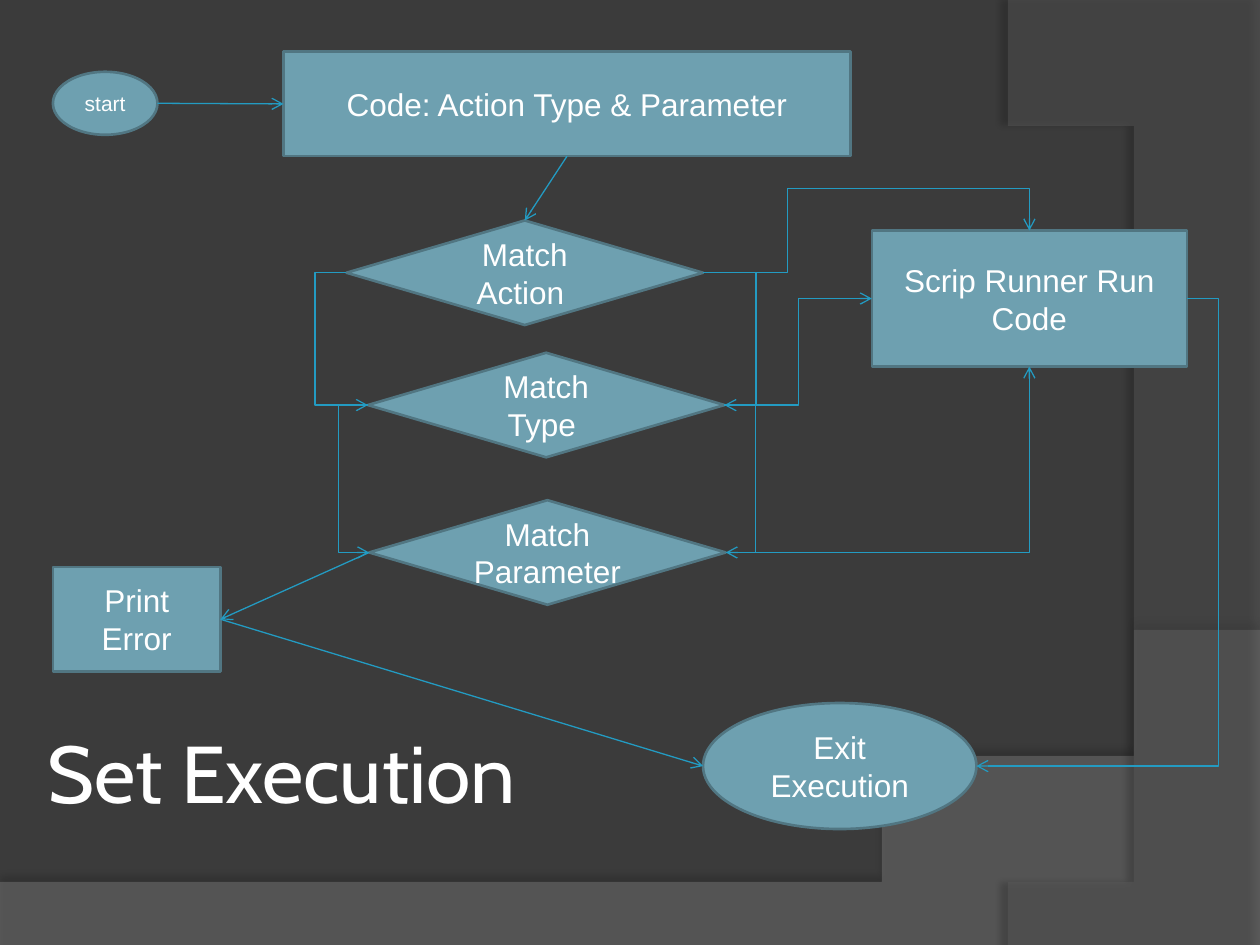
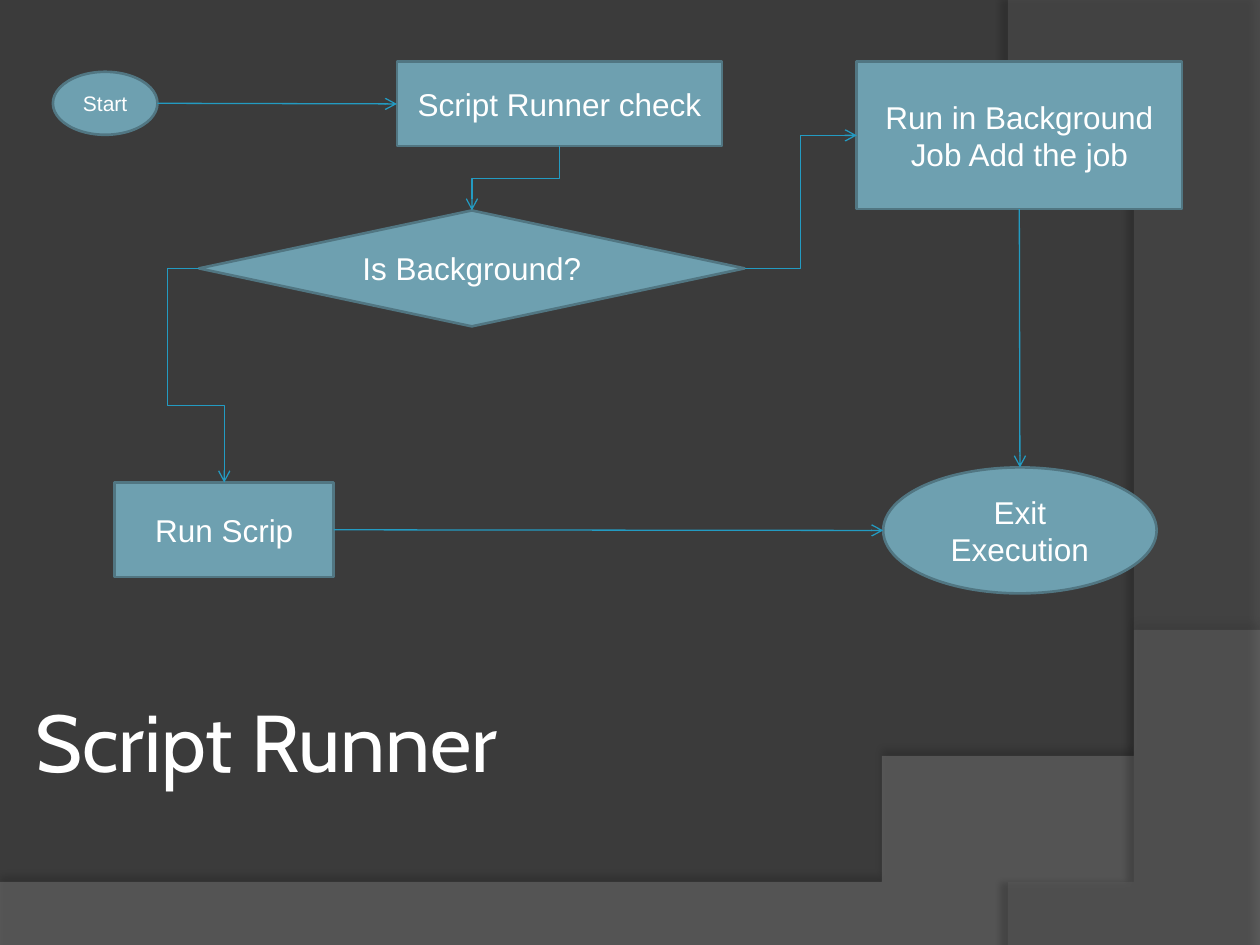
from collections import namedtuple

from lxml.etree import SubElement
from pptx import Presentation
from pptx.dml.color import RGBColor
from pptx.enum.shapes import MSO_CONNECTOR as Connector, MSO_SHAPE as Shape
from pptx.enum.text import MSO_ANCHOR as Anchor, PP_ALIGN as Align
from pptx.oxml.ns import qn
from pptx.util import Inches, Pt

BACKGROUND, LOWER_BAND, RIGHT_BAND = "3B3B3B", "7F7F7F", "5E5E5E"
NODE_FILL, NODE_LINE, ARROW, WHITE = "6EA0B0", "517682", "239BC2", "FFFFFF"
BODY_FONT, TITLE_FONT = "Arial", "Cabin"
TOP, LEFT, BOTTOM, RIGHT = range(4)
SIDE_POINTS = [(0.5, 0), (0, 0.5), (0.5, 1), (1, 0.5)]

Box = namedtuple("Box", "left top width height")


def color(hex_string):
    return RGBColor.from_string(hex_string)


def write(frame, text, size=18, font=BODY_FONT, align=Align.CENTER, inset=None):
    frame.word_wrap = True
    frame.vertical_anchor = Anchor.MIDDLE
    if inset is not None:
        frame.margin_left = frame.margin_right = Inches(inset)
        frame.margin_top = frame.margin_bottom = Inches(inset)
    paragraph = frame.paragraphs[0]
    paragraph.text = text
    paragraph.alignment = align
    for run in paragraph.runs:
        run.font.size = Pt(size)
        run.font.name = font
        run.font.color.rgb = color(WHITE)


# Background bands
def curve(start, control1, control2, end, steps=60):
    """Points of a cubic Bezier curve."""
    points = []
    for step in range(steps + 1):
        t = step / steps
        weights = ((1 - t) ** 3, 3 * t * (1 - t) ** 2, 3 * t * t * (1 - t), t ** 3)
        points.append(tuple(
            sum(w * p for w, p in zip(weights, values))
            for values in zip(start, control1, control2, end)))
    return points


def add_band(slide, points, fill, opacity, shadow_opacity, distance, direction):
    builder = slide.shapes.build_freeform(*points[0], scale=Inches(1))
    builder.add_line_segments(points[1:], close=True)
    band = builder.convert_to_shape()
    band.fill.solid()
    band.fill.fore_color.rgb = color(fill)
    band.line.fill.background()
    properties = band._element.spPr
    fill_color = properties.find(qn("a:solidFill"))[0]
    SubElement(fill_color, qn("a:alpha"), val=str(opacity * 1000))
    effects = SubElement(properties, qn("a:effectLst"))
    shadow = SubElement(effects, qn("a:outerShdw"), blurRad=str(Pt(4)),
                        dist=str(Pt(distance)), dir=str(direction * 60000))
    shadow_color = SubElement(shadow, qn("a:srgbClr"), val="000000")
    SubElement(shadow_color, qn("a:alpha"), val=str(shadow_opacity * 1000))


def add_background(slide, box):
    right, bottom = box.left + box.width, box.top + box.height
    swoosh = curve((right, 5.2), (5.59, 7.29), (3.91, 7.19), (box.left, 7.05))
    add_band(slide, swoosh + [(box.left, bottom), (right, bottom)],
             LOWER_BAND, 45, 35, 3.5, 270)
    arc = curve((8.21, bottom), (9.35, 6.19), (10.18, 3), (8, box.top))
    add_band(slide, arc + [(right, box.top + 0.02), (right, bottom)],
             RIGHT_BAND, 40, 45, 4, 180)


def add_title(slide, box, text):
    title = slide.shapes.add_textbox(*map(Inches, box))
    write(title.text_frame, text, size=46, font=TITLE_FONT, align=Align.LEFT, inset=0.05)


# Flowchart parts
def add_node(slide, box, kind, text, left, top, width, height, size=18):
    node = slide.shapes.add_shape(kind, Inches(box.left + left), Inches(box.top + top),
                                  Inches(width), Inches(height))
    node.shadow.inherit = False
    node.fill.solid()
    node.fill.fore_color.rgb = color(NODE_FILL)
    node.line.color.rgb = color(NODE_LINE)
    node.line.width = Pt(1.5)
    write(node.text_frame, text, size=size)
    return node


def side_point(node, side):
    across, down = SIDE_POINTS[side]
    return int(node.left + across * node.width), int(node.top + down * node.height)


def add_arrow(slide, start, start_side, end, end_side, kind=Connector.STRAIGHT):
    arrow = slide.shapes.add_connector(
        kind, *side_point(start, start_side), *side_point(end, end_side))
    if start.auto_shape_type != Shape.OVAL:
        arrow.begin_connect(start, start_side)
    if end.auto_shape_type != Shape.OVAL:
        arrow.end_connect(end, end_side)
    arrow.line.color.rgb = color(ARROW)
    arrow.line.width = Pt(0.75)
    SubElement(arrow.line._get_or_add_ln(), qn("a:tailEnd"), type="arrow")
    SubElement(arrow._element.spPr, qn("a:effectLst"))
    return arrow


def add_elbow(slide, start, start_side, end, end_side, reach=None, drop=None):
    """Bend after reach inches sideways, then after drop inches downwards."""
    arrow = add_arrow(slide, start, start_side, end, end_side, Connector.ELBOW)
    geometry = arrow._element.spPr.find(qn("a:prstGeom"))
    run, fall = arrow.end_x - arrow.begin_x, arrow.end_y - arrow.begin_y
    ratios = []
    if reach is not None:
        ratios.append(Inches(reach) / run)
    if drop is not None:
        ratios.append(Inches(drop) / fall)
    if end_side in (TOP, BOTTOM):
        geometry.set("prst", "bentConnector4" if ratios else "bentConnector2")
    guides = geometry.find(qn("a:avLst"))
    for number, ratio in enumerate(ratios, 1):
        SubElement(guides, qn("a:gd"), name=f"adj{number}",
                   fmla=f"val {round(ratio * 100000)}")
    return arrow


def add_step_down(slide, start, end):
    """Down, sideways to the left, and down again: a quarter-turned elbow."""
    arrow = add_arrow(slide, start, BOTTOM, end, TOP, Connector.ELBOW)
    width, height = arrow.height, arrow.width
    arrow.left += (height - width) // 2
    arrow.top += (width - height) // 2
    arrow.width, arrow.height = width, height
    transform = arrow._element.spPr.find(qn("a:xfrm"))
    transform.attrib.pop("flipH", None)
    transform.set("rot", str(90 * 60000))


# Flowchart of each slide
def draw_set_execution(slide, box):
    start = add_node(slide, box, Shape.OVAL, "start", 0, 0.16, 0.83, 0.5, size=12)
    code = add_node(slide, box, Shape.RECTANGLE, "Code: Action Type & Parameter",
                    1.83, 0, 4.5, 0.83)
    action, kind, parameter = [
        add_node(slide, box, Shape.FLOWCHART_DECISION, text, left, top, 2.83, 0.83)
        for text, left, top in (("Match Action ", 2.33, 1.34),
                                ("Match Type ", 2.5, 2.39),
                                ("Match Parameter", 2.51, 3.56))]
    runner = add_node(slide, box, Shape.RECTANGLE, "Scrip Runner Run Code",
                      6.5, 1.42, 2.5, 1.08)
    error = add_node(slide, box, Shape.RECTANGLE, "Print Error", 0, 4.09, 1.33, 0.83)
    finish = add_node(slide, box, Shape.OVAL, "Exit Execution", 5.16, 5.17, 2.17, 1)

    for source, source_side, target, target_side in (
            (start, RIGHT, code, LEFT), (code, BOTTOM, action, TOP),
            (parameter, LEFT, error, RIGHT), (error, RIGHT, finish, LEFT)):
        add_arrow(slide, source, source_side, target, target_side)

    # From one match to the next, on both sides
    for side, first_reach, next_reach in ((RIGHT, 0.42, 0.25), (LEFT, -0.25, -0.24)):
        add_elbow(slide, action, side, kind, side, reach=first_reach)
        add_elbow(slide, kind, side, parameter, side, reach=next_reach)

    # Into and out of the runner
    add_elbow(slide, action, RIGHT, runner, TOP, reach=0.67, drop=-0.67)
    add_elbow(slide, kind, RIGHT, runner, LEFT)
    add_elbow(slide, parameter, RIGHT, runner, BOTTOM)
    add_elbow(slide, runner, RIGHT, finish, RIGHT, reach=0.25)


def draw_script_runner(slide, box):
    start = add_node(slide, box, Shape.OVAL, "Start", 0, 0.08, 0.83, 0.5, size=12)
    check = add_node(slide, box, Shape.RECTANGLE, "Script Runner check",
                     2.73, 0, 2.58, 0.67)
    decision = add_node(slide, box, Shape.FLOWCHART_DECISION, "Is Background?",
                        1.16, 1.18, 4.33, 0.92)
    job = add_node(slide, box, Shape.RECTANGLE, "Run in Background\nJob Add the job",
                   6.38, 0, 2.58, 1.17)
    run = add_node(slide, box, Shape.RECTANGLE, "Run Scrip", 0.49, 3.34, 1.74, 0.75)
    finish = add_node(slide, box, Shape.OVAL, "Exit Execution", 6.59, 3.22, 2.17, 1)

    add_arrow(slide, start, RIGHT, check, LEFT)
    add_step_down(slide, check, decision)
    add_elbow(slide, decision, RIGHT, job, LEFT)
    add_elbow(slide, decision, LEFT, run, TOP, reach=-0.25, drop=1.09)
    add_arrow(slide, job, BOTTOM, finish, TOP)
    add_arrow(slide, run, RIGHT, finish, LEFT)


def main():
    presentation = Presentation()
    page = Box(0, 0, 10, 7.5)
    presentation.slide_width, presentation.slide_height = Inches(page.width), Inches(page.height)
    fill = presentation.slide_master.background.fill
    fill.solid()
    fill.fore_color.rgb = color(BACKGROUND)

    for title, title_box, draw, chart_box in (
            ("Set Execution", Box(0.33, 5.5, 3.83, 1.25),
             draw_set_execution, Box(0.42, 0.41, 9.25, 6.17)),
            ("Script Runner", Box(0.23, 5.25, 3.95, 1.25),
             draw_script_runner, Box(0.42, 0.49, 8.96, 4.22))):
        slide = presentation.slides.add_slide(presentation.slide_layouts[6])
        add_background(slide, page)
        add_title(slide, title_box, title)
        draw(slide, chart_box)
    presentation.save("out.pptx")


if __name__ == "__main__":
    main()
